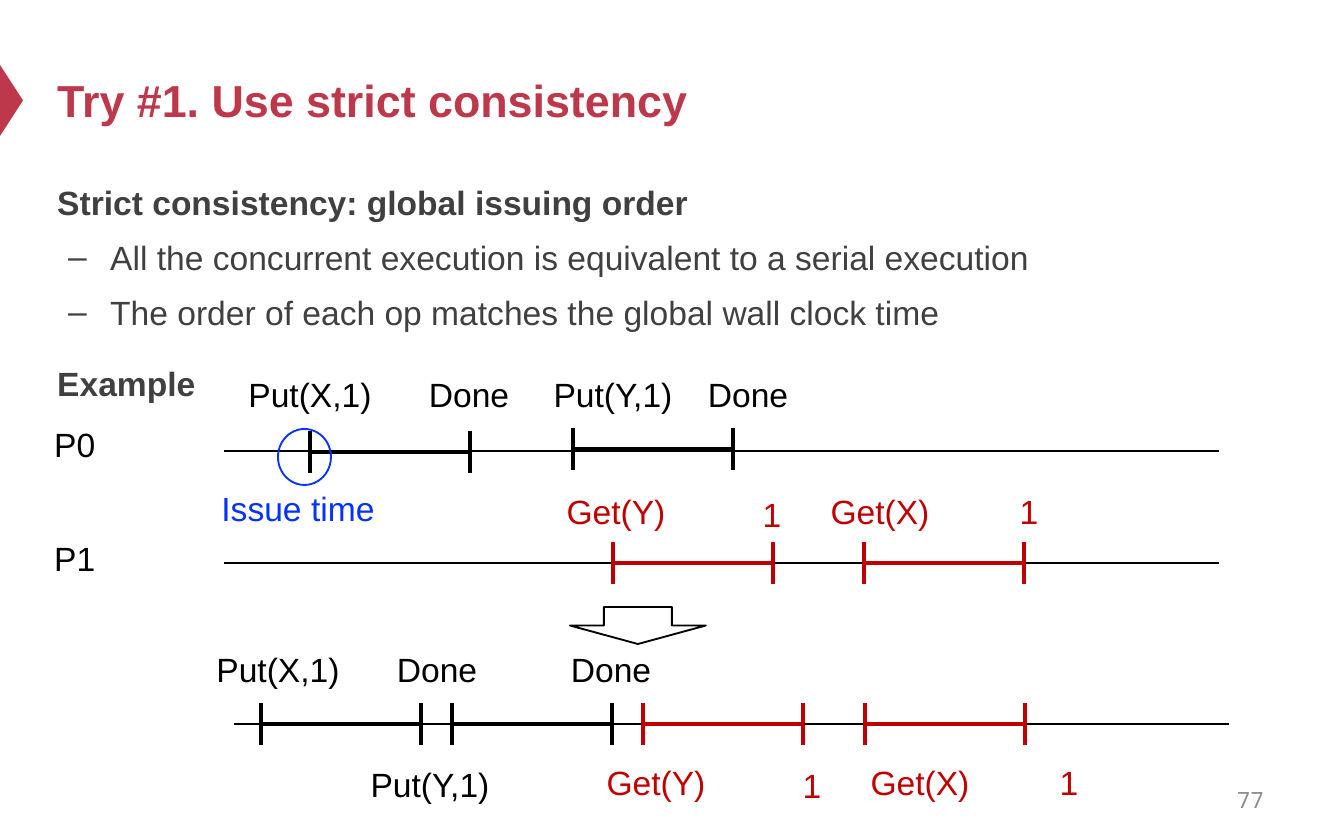
from dataclasses import dataclass

from lxml.etree import SubElement
from pptx import Presentation
from pptx.dml.color import RGBColor as RGB
from pptx.enum.shapes import MSO_CONNECTOR as CONN, MSO_SHAPE as SHAPE
from pptx.enum.text import MSO_ANCHOR as ANCHOR, PP_ALIGN as ALIGN
from pptx.oxml.ns import qn
from pptx.util import Emu, Pt


@dataclass(frozen=True)
class Theme:
    """Colours, fonts and type sizes of the slide."""
    accent: str = "BE384B"
    body: str = "404040"
    put: str = "000000"
    get: str = "C00000"
    issue: str = "0432FF"
    page: str = "8C8C8C"
    font: str = "Arial"
    page_font: str = "Noto Sans Mono"
    title_size: int = 24
    text_size: int = 18
    page_size: int = 12


T = Theme()
SCALE = 914400 / 134.4
SPAN, TICK = 160, 21
LABEL_W, LABEL_H = 172, 54

AXES = [(224, 451), (224, 563), (234, 724)]
AXIS_W = 995
PROCESSES = [("P0", 417), ("P1", 531)]
SPANS = [
    (310, 452, T.put), (573, 449, T.put),
    (613, 563, T.get), (864, 563, T.get),
    (261, 724, T.put), (452, 724, T.put),
    (643, 724, T.get), (865, 724, T.get),
]
PUT_LABELS = [
    ("Put(X,1)", 310, 367), ("Done", 469, 367),
    ("Put(Y,1)", 613, 367), ("Done", 748, 367),
    ("Put(X,1)", 278, 642), ("Done", 437, 642),
    ("Put(Y,1)", 430, 757), ("Done", 611, 642),
]
GET_LABELS = [("Get(Y)", 0, 0), ("1", 156, 3), ("Get(X)", 264, 0), ("1", 413, 0)]
GET_ROWS = [(616, 484), (656, 755)]
BODY = [
    ("Strict consistency: global issuing order", False, 0),
    ("All the concurrent execution is equivalent to a serial execution", True, 3.6),
    ("The order of each op matches the global wall clock time", True, 3.6),
    ("Example", False, 12),
]


def px(n):
    """Turn slide pixels into EMU."""
    return Emu(round(n * SCALE))


def add_run(p, text, color, size=T.text_size, font=T.font, bold=False):
    """Append one formatted run to a paragraph."""
    r = p.add_run()
    r.text = text
    r.font.name, r.font.size, r.font.bold = font, Pt(size), bold
    r.font.color.rgb = RGB.from_string(color)


def add_box(s, x, y, w, h, anchor=ANCHOR.TOP):
    """Add a wrapping text box and return its text frame."""
    tf = s.shapes.add_textbox(px(x), px(y), px(w), px(h)).text_frame
    tf.word_wrap = True
    tf.vertical_anchor = anchor
    return tf


def add_label(s, text, cx, y, color, w=LABEL_W):
    """Add a label centred on cx."""
    p = add_box(s, cx - w / 2, y, w, LABEL_H).paragraphs[0]
    p.alignment = ALIGN.CENTER
    add_run(p, text, color)


def add_line(shapes, x1, y1, x2, y2, color, width):
    """Add a straight line without shadow."""
    c = shapes.add_connector(CONN.STRAIGHT, px(x1), px(y1), px(x2), px(y2))
    c.line.color.rgb = RGB.from_string(color)
    c.line.width = Pt(width)
    SubElement(c._element.spPr, qn("a:effectLst"))


def add_span(s, x, y, color):
    """Add an operation as a grouped bar with a tick at each end."""
    shapes = s.shapes.add_group_shape().shapes
    for tick in (x, x + SPAN):
        add_line(shapes, tick, y - TICK, tick, y + TICK, color, 2.25)
    add_line(shapes, x, y, x + SPAN, y, color, 2.25)


def add_preset(s, kind, x, y, w, h, fill=None, line=None):
    """Add a preset shape with an optional fill and outline."""
    sp = s.shapes.add_shape(kind, px(x), px(y), px(w), px(h))
    sp.shadow.inherit = False
    if fill:
        sp.fill.solid()
        sp.fill.fore_color.rgb = RGB.from_string(fill)
    else:
        sp.fill.background()
    if line:
        sp.line.color.rgb = RGB.from_string(line)
        sp.line.width = Pt(1)
    else:
        sp.line.fill.background()
    return sp


def set_dash(p):
    """Give a paragraph a hanging dash bullet."""
    pPr = p._p.get_or_add_pPr()
    pPr.set("marL", str(px(53)))
    pPr.set("indent", str(-px(42)))
    SubElement(pPr, qn("a:buFont"), typeface=T.font)
    SubElement(pPr, qn("a:buChar"), char="–")


def add_body(s):
    """Add the headings and their dashed points."""
    tf = add_box(s, 44, 167, 1210, 296)
    for i, (text, dashed, before) in enumerate(BODY):
        p = tf.add_paragraph() if i else tf.paragraphs[0]
        p.line_spacing = 1.2
        p.space_before = Pt(before)
        if dashed:
            set_dash(p)
        add_run(p, text, T.body, bold=not dashed)


def add_frame(s):
    """Add the title, its marker and the page number."""
    add_preset(s, SHAPE.ISOSCELES_TRIANGLE, -24, 89, 71, 23, fill=T.accent).rotation = 90
    p = add_box(s, 44, 34, 1210, 132, ANCHOR.MIDDLE).paragraphs[0]
    add_run(p, "Try #1. Use strict consistency", T.accent, T.title_size, bold=True)
    p = add_box(s, 964, 778, 313, 44, ANCHOR.MIDDLE).paragraphs[0]
    p.alignment = ALIGN.RIGHT
    add_run(p, "77", T.page, T.page_size, T.page_font)


def add_timelines(s):
    """Add the process timelines and the merged serial order."""
    for x, y in AXES:
        add_line(s.shapes, x, y, x + AXIS_W, y, T.put, 0.75)
    for name, y in PROCESSES:
        add_run(add_box(s, 41, y, 95, LABEL_H).paragraphs[0], name, T.put)
    for x, y, color in SPANS:
        add_span(s, x, y, color)
    for text, cx, y in PUT_LABELS:
        add_label(s, text, cx, y, T.put)
    for x, y in GET_ROWS:
        for text, dx, dy in GET_LABELS:
            add_label(s, text, x + dx, y + dy, T.get)
    add_preset(s, SHAPE.OVAL, 278, 429, 53, 56, line=T.issue)
    add_label(s, "Issue time", 298, 481, T.issue, 246)
    add_preset(s, SHAPE.DOWN_ARROW, 570, 607, 136, 37, line=T.put)


def main():
    """Build and save the slide."""
    prs = Presentation()
    prs.slide_width, prs.slide_height = px(1344), px(840)
    s = prs.slides.add_slide(prs.slide_layouts[6])
    add_frame(s)
    add_body(s)
    add_timelines(s)
    prs.save("out.pptx")


if __name__ == "__main__":
    main()
